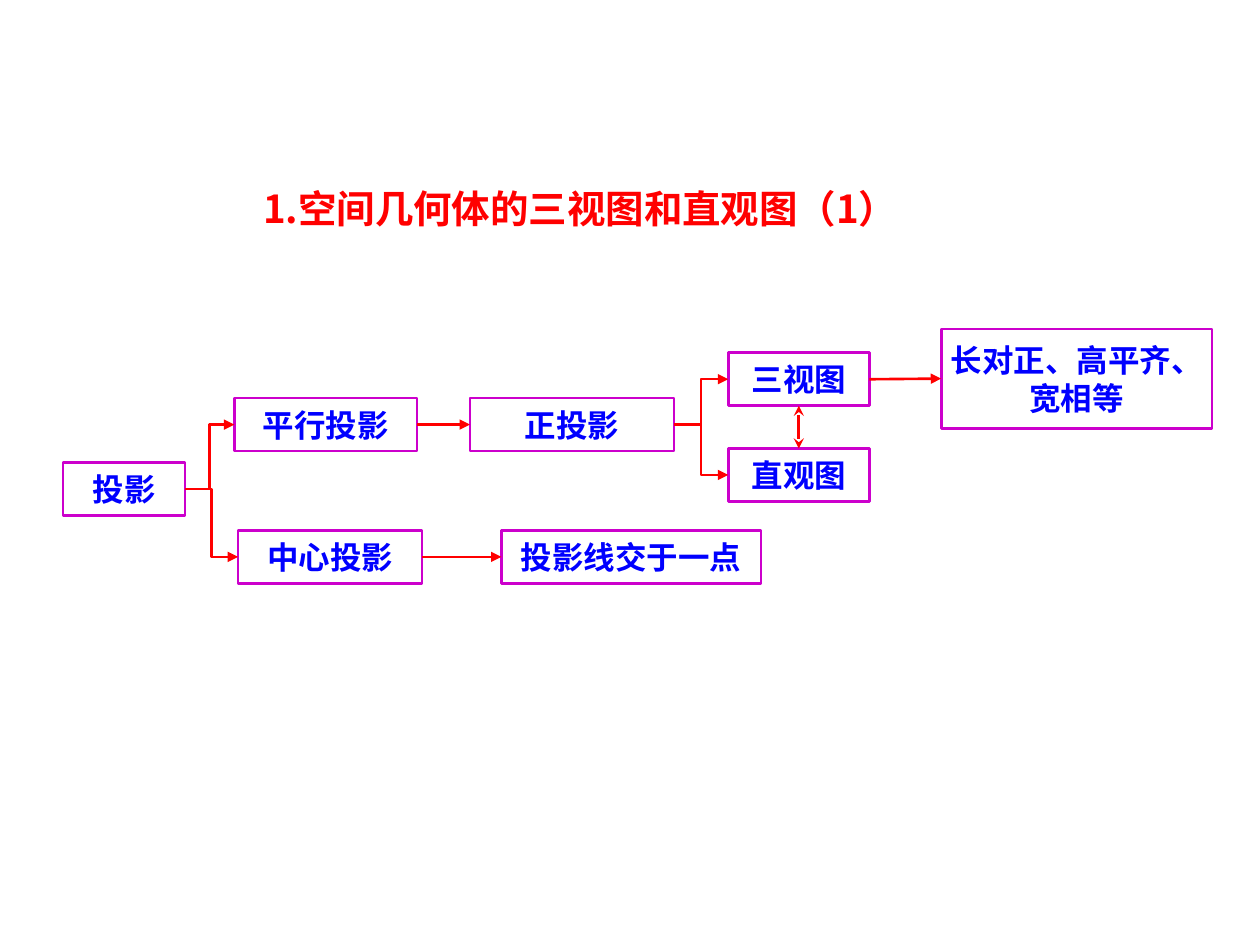
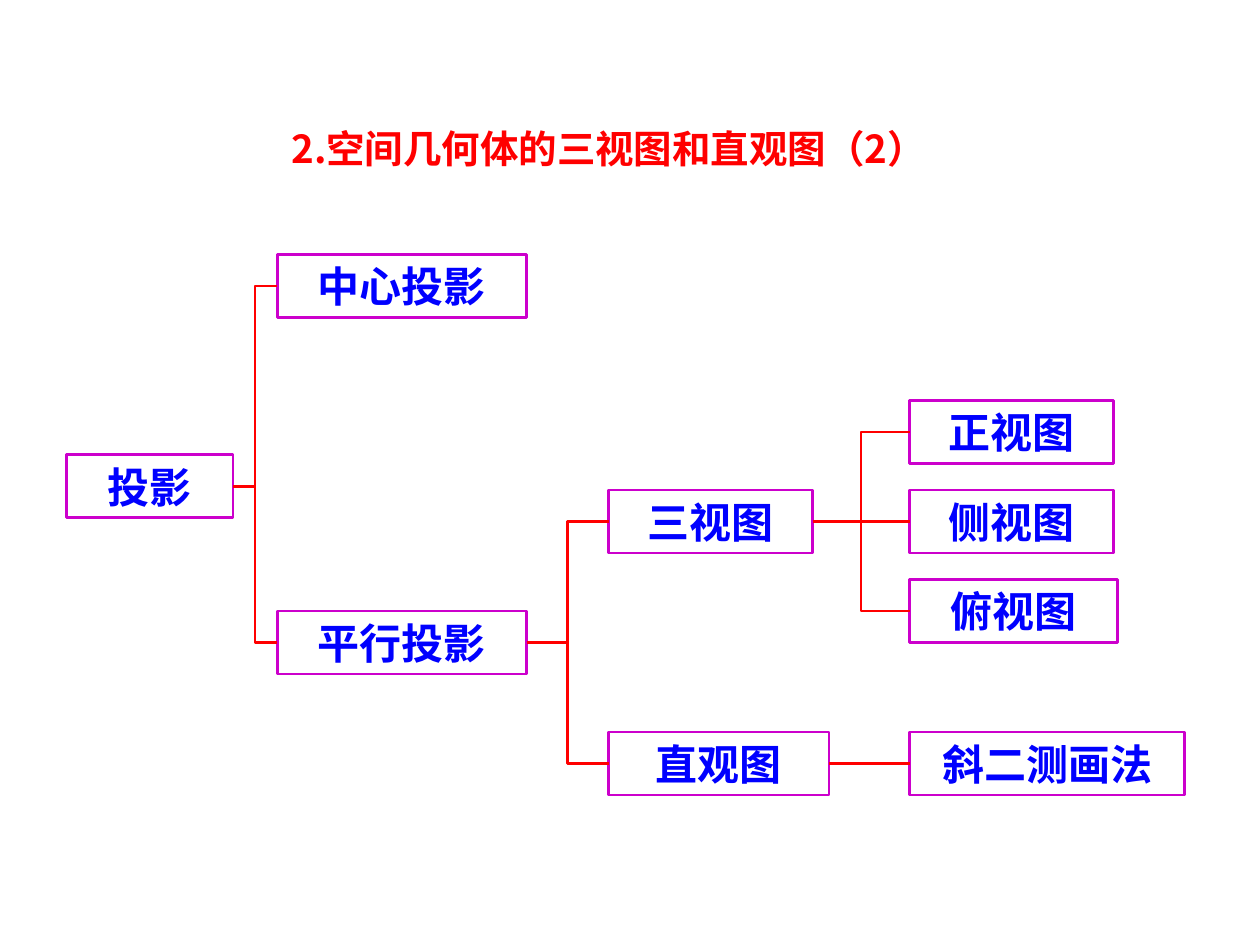
from lxml import etree
from pptx import Presentation
from pptx.dml.color import RGBColor
from pptx.enum.shapes import MSO_CONNECTOR, MSO_SHAPE
from pptx.enum.text import MSO_ANCHOR, MSO_AUTO_SIZE, PP_ALIGN
from pptx.oxml.ns import qn
from pptx.util import Inches, Pt

RECT = MSO_SHAPE.RECTANGLE
LINE, ELBOW = MSO_CONNECTOR.STRAIGHT, MSO_CONNECTOR.ELBOW
CENTER, MIDDLE = PP_ALIGN.CENTER, MSO_ANCHOR.MIDDLE
GROW = MSO_AUTO_SIZE.SHAPE_TO_FIT_TEXT
TOP, LEFT, BOTTOM, RIGHT = range(4)

RED, BLUE, PURPLE = "FF0000", "0000FF", "CC00CC"
HEAVY = 1.5
CJK = "Noto Sans CJK SC"
TITLE = {"size": Pt(22), "name": CJK, "bold": True}
LABEL = {"name": "Arial", "bold": True}


def color(code):
    return RGBColor.from_string(code)


def style(para, text, look, code):
    para.alignment = CENTER
    run = para.add_run()
    run.text = text
    for key, value in look.items():
        setattr(run.font, key, value)
    run.font.color.rgb = color(code)
    etree.SubElement(run.font._element, qn("a:ea"), typeface=CJK)


def stroke(shape, code):
    shape.line.color.rgb = color(code)
    shape.line.width = Pt(HEAVY)


def title(slide, text, left, top, width, height):
    box = slide.shapes.add_textbox(*map(Inches, (left, top, width, height)))
    frame = box.text_frame
    frame.word_wrap = True
    frame.auto_size = GROW
    para = frame.paragraphs[0]
    para.line_spacing = 1.4
    style(para, text, TITLE, RED)


def node(slide, text, size, left, top, width, height):
    box = slide.shapes.add_shape(RECT, *map(Inches, (left, top, width, height)))
    box.shadow.inherit = False
    box.fill.background()
    stroke(box, PURPLE)
    frame = box.text_frame
    frame.word_wrap = False
    frame.vertical_anchor = MIDDLE
    for i, row in enumerate(text.split("\n")):
        para = frame.add_paragraph() if i else frame.paragraphs[0]
        style(para, row, LABEL | {"size": Pt(size)}, BLUE)
    return box


def link(slide, start, end, kind, ends, sides=(RIGHT, LEFT)):
    wire = slide.shapes.add_connector(kind, 0, 0, 0, 0)
    wire.begin_connect(start, sides[0])
    wire.end_connect(end, sides[1])
    stroke(wire, RED)
    line = wire.line._get_or_add_ln()
    for tag, head in ends.items():
        etree.SubElement(line, qn(f"a:{tag}"), type=head)
    etree.SubElement(wire._element.spPr, qn("a:effectLst"))


def tree(slide, left, top, size, high, nodes, links, ends):
    boxes = {}
    for key, (text, x, y, width, *tall) in nodes.items():
        height = tall[0] if tall else high
        boxes[key] = node(slide, text, size, left + x, top + y, width, height)
    for start, end, kind in links:
        link(slide, boxes[start], boxes[end], kind, ends)
    return boxes


def first(slide):
    title(slide, "1.空间几何体的三视图和直观图（1）", 1.01, 1.27, 7.19, 0.62)
    nodes = {
        "root": ("投影", 0, 1.06, 0.97),
        "flat": ("平行投影", 1.36, 0.55, 1.45),
        "core": ("中心投影", 1.39, 1.6, 1.46),
        "right": ("正投影", 3.23, 0.55, 1.62),
        "point": ("投影线交于一点", 3.48, 1.6, 2.06),
        "views": ("三视图", 5.28, 0.19, 1.12),
        "sketch": ("直观图", 5.28, 0.95, 1.12),
        "rule": ("长对正、高平齐、\n宽相等", 6.97, 0, 2.15, 0.79),
    }
    links = [
        ("root", "flat", ELBOW), ("root", "core", ELBOW),
        ("flat", "right", LINE), ("right", "views", ELBOW),
        ("right", "sketch", ELBOW), ("views", "rule", LINE),
        ("core", "point", LINE),
    ]
    boxes = tree(slide, 0.5, 2.61, 18, 0.42, nodes, links,
                 {"tailEnd": "triangle"})
    link(slide, boxes["views"], boxes["sketch"], LINE,
         {"headEnd": "stealth", "tailEnd": "stealth"}, (BOTTOM, TOP))


def second(slide):
    title(slide, "2.空间几何体的三视图和直观图（2）", 1.01, 0.8, 7.64, 0.62)
    nodes = {
        "root": ("投影", 0, 1.59, 1.32),
        "core": ("中心投影", 1.67, 0, 1.98),
        "flat": ("平行投影", 1.67, 2.83, 1.98),
        "views": ("三视图", 4.3, 1.87, 1.62),
        "sketch": ("直观图", 4.3, 3.79, 1.75),
        "draw": ("斜二测画法", 6.69, 3.79, 2.18),
    }
    sides = (("front", "正视图", 1.62), ("side", "侧视图", 1.62),
             ("plan", "俯视图", 1.65))
    for i, (key, text, width) in enumerate(sides):
        nodes[key] = (text, 6.69, 1.16 + 0.71 * i, width)
    links = [
        ("root", "core", ELBOW), ("root", "flat", ELBOW),
        ("flat", "views", ELBOW), ("flat", "sketch", ELBOW),
        ("views", "side", LINE), ("views", "front", ELBOW),
        ("views", "plan", ELBOW), ("sketch", "draw", LINE),
    ]
    tree(slide, 0.53, 2.02, 24, 0.5, nodes, links, {})


def main():
    deck = Presentation()
    deck.slide_width, deck.slide_height = Inches(10), Inches(7.5)
    for build in (first, second):
        build(deck.slides.add_slide(deck.slide_layouts[6]))
    deck.save("out.pptx")


if __name__ == "__main__":
    main()
